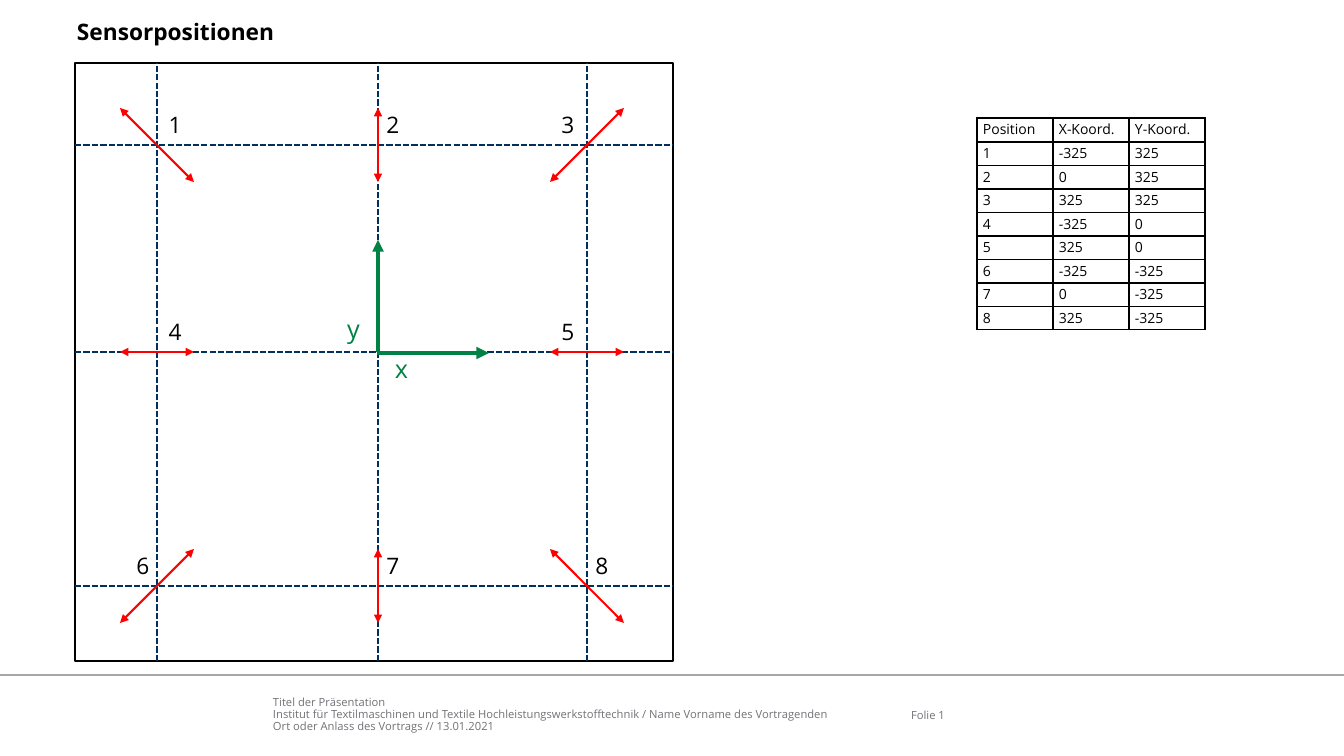
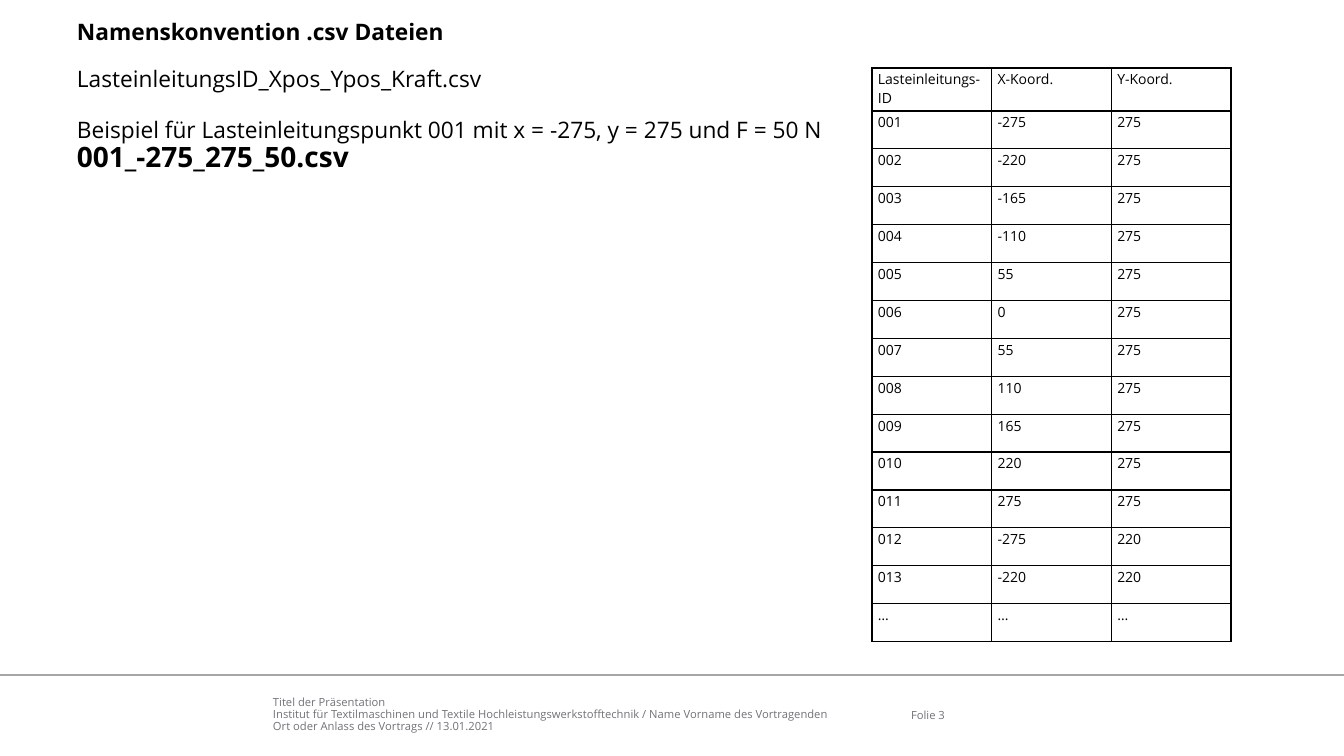
"""Build two slides on sensor positions and the naming of CSV files."""
from dataclasses import dataclass

import lxml.etree
import pptx
import pptx.dml.color
import pptx.enum.dml
import pptx.enum.shapes
import pptx.enum.text
import pptx.oxml.ns
import pptx.presentation
import pptx.shapes.connector
import pptx.slide
import pptx.text.text
import pptx.util

ALIGN = pptx.enum.text.PP_ALIGN
ANCHOR = pptx.enum.text.MSO_ANCHOR
FONT = "Open Sans"
COLORS = {
    "text": "000000",
    "footer": "727277",
    "rule": "A6A6A6",
    "grid": "00305D",
    "sensor": "FF0000",
    "axis": "008244",
}
SLIDE_W, SLIDE_H = 1344, 756
EMU_PER_PX = 12192000 / SLIDE_W
FOOTER = [
    "Titel der Präsentation",
    "Institut für Textilmaschinen und Textile Hochleistungswerkstofftechnik"
    " / Name Vorname des Vortragenden",
    "Ort oder Anlass des Vortrags // 13.01.2021",
]


@dataclass(frozen=True)
class Box:
    left: int
    top: int
    width: int
    height: int

    def emu(self) -> tuple[pptx.util.Emu, ...]:
        return tuple(px(v) for v in (self.left, self.top, self.width, self.height))


@dataclass(frozen=True)
class Para:
    text: str
    size: float = 16.2
    bold: bool = False
    color: str = "text"
    before: float = 0


@dataclass(frozen=True)
class Stroke:
    color: str
    width: float
    dashed: bool = False
    head: bool = False
    tail: bool = False


@dataclass(frozen=True)
class Sensor:
    number: int
    x: int
    y: int
    dx: int
    dy: int
    label_dx: int


PLATE = Box(75, 63, 598, 598)
GRID_X = {-325: 157, 0: 378, 325: 587}
GRID_Y = {325: 145, 0: 352, -325: 586}
REACH = 37
SENSORS = [
    Sensor(1, -325, 325, 1, 1, 2),
    Sensor(2, 0, 325, 0, 1, -1),
    Sensor(3, 325, 325, 1, -1, -35),
    Sensor(4, -325, 0, 1, 0, 2),
    Sensor(5, 325, 0, 1, 0, -35),
    Sensor(6, -325, -325, 1, -1, -30),
    Sensor(7, 0, -325, 0, 1, -1),
    Sensor(8, 325, -325, 1, 1, -1),
]
LOAD_POINTS = [
    (-275, 275), (-220, 275), (-165, 275), (-110, 275), (55, 275),
    (0, 275), (55, 275), (110, 275), (165, 275), (220, 275),
    (275, 275), (-275, 220), (-220, 220),
]


def px(value: float) -> pptx.util.Emu:
    return pptx.util.Emu(round(value * EMU_PER_PX))


def rgb(name: str) -> pptx.dml.color.RGBColor:
    return pptx.dml.color.RGBColor.from_string(COLORS[name])


def format_para(p: pptx.text.text._Paragraph, para: Para) -> None:
    p.text = para.text
    p.font.name = FONT
    p.font.size = pptx.util.Pt(para.size)
    p.font.bold = para.bold
    p.font.color.rgb = rgb(para.color)


def fill_frame(
    tf: pptx.text.text.TextFrame,
    paras: list[Para],
    inset: tuple[int, int] = (10, 5),
    align: ALIGN = ALIGN.LEFT,
    anchor: ANCHOR = ANCHOR.TOP,
) -> None:
    tf.word_wrap = True
    tf.auto_size = pptx.enum.text.MSO_AUTO_SIZE.NONE
    tf.vertical_anchor = anchor
    tf.margin_left = tf.margin_right = px(inset[0])
    tf.margin_top = tf.margin_bottom = px(inset[1])
    for i, para in enumerate(paras):
        p = tf.add_paragraph() if i else tf.paragraphs[0]
        format_para(p, para)
        p.alignment = align
        p.line_spacing = 0.9
        if para.before:
            p.space_before = pptx.util.Pt(para.before)


def add_text(
    s: pptx.slide.Slide,
    box: Box,
    paras: list[Para],
    inset: tuple[int, int] = (10, 5),
    align: ALIGN = ALIGN.LEFT,
    anchor: ANCHOR = ANCHOR.TOP,
) -> None:
    sp = s.shapes.add_textbox(*box.emu())
    fill_frame(sp.text_frame, paras, inset, align, anchor)


def add_line(
    s: pptx.slide.Slide, x1: int, y1: int, x2: int, y2: int, stroke: Stroke
) -> None:
    qn = pptx.oxml.ns.qn
    c = s.shapes.add_connector(
        pptx.enum.shapes.MSO_CONNECTOR.STRAIGHT, px(x1), px(y1), px(x2), px(y2)
    )
    c.line.color.rgb = rgb(stroke.color)
    c.line.width = pptx.util.Pt(stroke.width)
    if stroke.dashed:
        c.line.dash_style = pptx.enum.dml.MSO_LINE.SQUARE_DOT
    props = c._element.spPr
    ln = props.find(qn("a:ln"))
    for tag, wanted in (("a:headEnd", stroke.head), ("a:tailEnd", stroke.tail)):
        if wanted:
            lxml.etree.SubElement(ln, qn(tag), type="triangle")
    lxml.etree.SubElement(props, qn("a:effectLst"))


def add_table(
    s: pptx.slide.Slide, box: Box, header_height: int, rows: list[list[str]]
) -> None:
    qn = pptx.oxml.ns.qn
    table = s.shapes.add_table(len(rows), len(rows[0]), *box.emu()).table
    table.first_row = table.horz_banding = False
    for col in table.columns:
        col.width = px(box.width / len(rows[0]))
    for i, row in enumerate(table.rows):
        body_height = (box.height - header_height) / (len(rows) - 1)
        row.height = px(body_height if i else header_height)
        for cell, text in zip(row.cells, rows[i]):
            cell.margin_left = cell.margin_right = px(6)
            cell.margin_top = cell.margin_bottom = px(2)
            format_para(cell.text_frame.paragraphs[0], Para(text, 10))
            props = cell._tc.get_or_add_tcPr()
            for side in ("a:lnL", "a:lnR", "a:lnT", "a:lnB"):
                ln = lxml.etree.SubElement(props, qn(side), w=str(pptx.util.Pt(1)))
                fill = lxml.etree.SubElement(ln, qn("a:solidFill"))
                lxml.etree.SubElement(fill, qn("a:srgbClr"), val=COLORS["text"])
            cell.fill.background()


def add_slide(
    prs: pptx.presentation.Presentation, title: str, number: int
) -> pptx.slide.Slide:
    s = prs.slides.add_slide(prs.slide_layouts.get_by_name("Title Only"))
    sp = s.shapes.title
    sp.left, sp.top, sp.width, sp.height = Box(67, 16, 522, 37).emu()
    fill_frame(sp.text_frame, [Para(title, bold=True)])
    add_line(s, 0, 675, SLIDE_W, 675, Stroke("rule", 1))
    footer = [Para(text, 8, color="footer") for text in FOOTER]
    add_text(s, Box(273, 697, 595, 40), footer, (0, 0))
    page = [Para(f"Folie {number}", 8, color="footer")]
    add_text(s, Box(890, 696, 76, 40), page, (0, 0), ALIGN.CENTER, ANCHOR.MIDDLE)
    return s


def add_sensor(s: pptx.slide.Slide, sensor: Sensor) -> None:
    x, y = GRID_X[sensor.x], GRID_Y[sensor.y]
    dx, dy = sensor.dx * REACH, sensor.dy * REACH
    stroke = Stroke("sensor", 1.5, head=True, tail=True)
    add_line(s, x - dx, y - dy, x + dx, y + dy, stroke)
    label = Box(x + sensor.label_dx, y - 38, 32, 38)
    add_text(
        s, label, [Para(str(sensor.number))], (0, 0), ALIGN.CENTER, ANCHOR.MIDDLE
    )


def build_positions(prs: pptx.presentation.Presentation) -> None:
    s = add_slide(prs, "Sensorpositionen", 1)
    sp = s.shapes.add_shape(pptx.enum.shapes.MSO_SHAPE.RECTANGLE, *PLATE.emu())
    sp.shadow.inherit = False
    sp.fill.background()
    sp.line.color.rgb = rgb("text")
    sp.line.width = pptx.util.Pt(1)
    grid = Stroke("grid", 1.5, dashed=True)
    for y in GRID_Y.values():
        add_line(s, PLATE.left, y, PLATE.left + PLATE.width, y, grid)
    for x in GRID_X.values():
        add_line(s, x, PLATE.top + PLATE.height, x, PLATE.top, grid)
    for sensor in SENSORS:
        add_sensor(s, sensor)
    x0, y0 = GRID_X[0], GRID_Y[0]
    add_line(s, x0, y0, x0, y0 - 112, Stroke("axis", 2.75, tail=True))
    add_line(s, x0 - 1, y0 + 1, x0 + 111, y0 + 1, Stroke("axis", 3, tail=True))
    add_text(s, Box(385, 352, 111, 40), [Para("x", 18, color="axis")])
    add_text(s, Box(337, 312, 104, 40), [Para("y", 18, color="axis")])
    rows = [["Position", "X-Koord.", "Y-Koord."]]
    rows += [[str(v) for v in (n.number, n.x, n.y)] for n in SENSORS]
    add_table(s, Box(977, 118, 228, 212), 24, rows)


def build_naming(prs: pptx.presentation.Presentation) -> None:
    s = add_slide(prs, "Namenskonvention .csv Dateien", 3)
    example = "Beispiel für Lasteinleitungspunkt 001 mit x = -275, y = 275 und F = 50 N"
    paras = [
        Para("LasteinleitungsID_Xpos_Ypos_Kraft.csv"),
        Para(example, before=19),
        Para("001_-275_275_50.csv", 20, True),
    ]
    add_text(s, Box(67, 63, 850, 154), paras)
    rows = [["Lasteinleitungs-ID", "X-Koord.", "Y-Koord."]]
    rows += [[f"{i:03}", str(x), str(y)] for i, (x, y) in enumerate(LOAD_POINTS, 1)]
    rows.append(["…"] * 3)
    add_table(s, Box(872, 68, 359, 574), 43, rows)


def main() -> None:
    prs = pptx.Presentation()
    prs.slide_width, prs.slide_height = px(SLIDE_W), px(SLIDE_H)
    build_positions(prs)
    build_naming(prs)
    prs.save("out.pptx")


if __name__ == "__main__":
    main()
